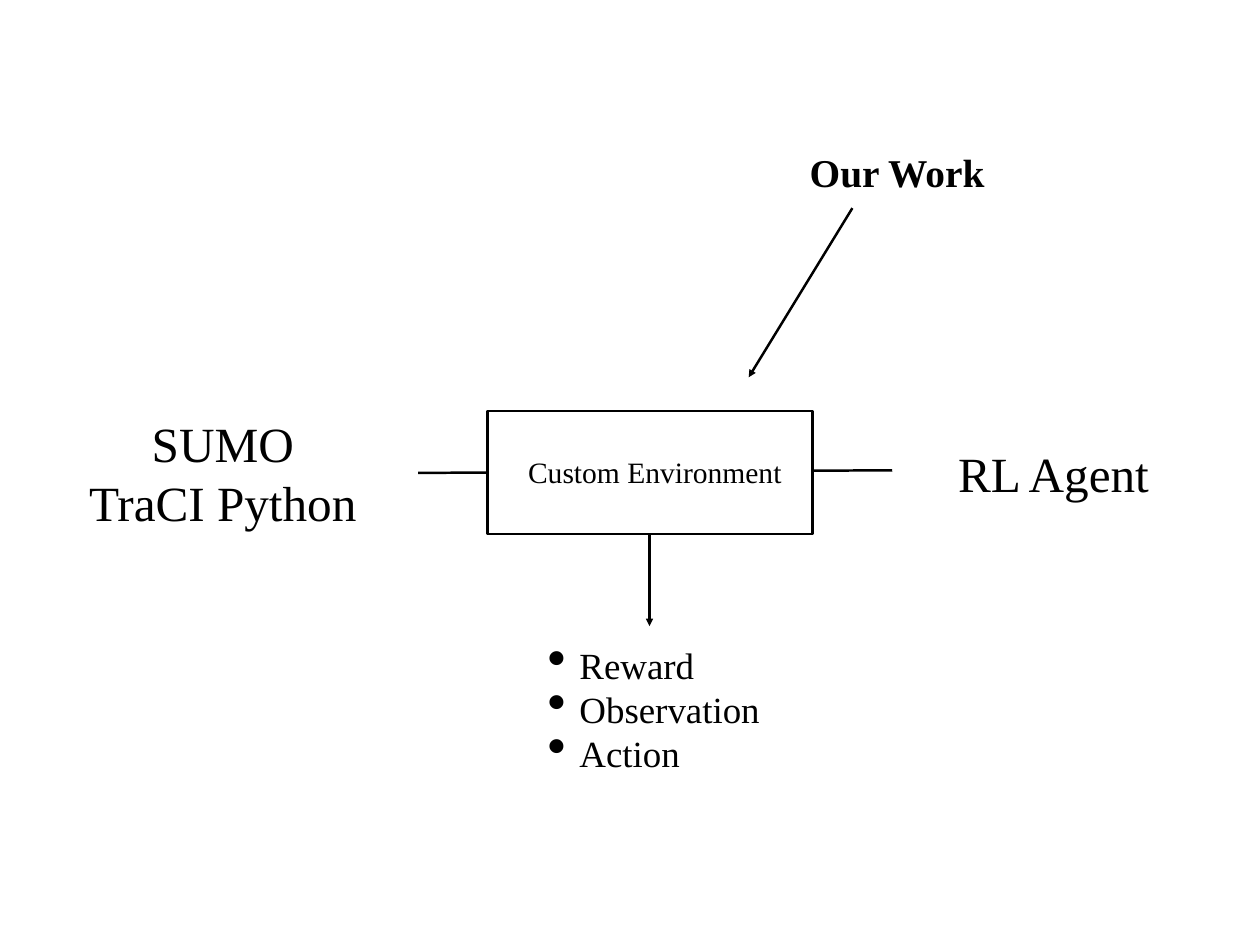
from lxml import etree
from pptx import Presentation
from pptx.dml.color import RGBColor
from pptx.enum.shapes import MSO_CONNECTOR, MSO_SHAPE
from pptx.enum.text import MSO_ANCHOR, PP_ALIGN
from pptx.oxml.ns import qn
from pptx.util import Inches, Pt

COLORS = {"ink": "000000", "paper": "FFFFFF"}
INK = RGBColor.from_string(COLORS["ink"])
FONT = "Times New Roman"

presentation = Presentation()
presentation.slide_width = Inches(14.22)
presentation.slide_height = Inches(10.67)
slide = presentation.slides.add_slide(presentation.slide_layouts[6])


def add_label(text, left, top, width, height, size, bold=False, align=PP_ALIGN.CENTER):
    box = slide.shapes.add_textbox(Inches(left), Inches(top), Inches(width), Inches(height))
    frame = box.text_frame
    frame.word_wrap = False
    frame.vertical_anchor = MSO_ANCHOR.MIDDLE
    frame.margin_left = frame.margin_right = Inches(0.06)
    frame.margin_top = frame.margin_bottom = Inches(0.06)
    frame.text = text
    for paragraph in frame.paragraphs:
        paragraph.alignment = align
        font = paragraph.runs[0].font
        font.name, font.size, font.bold = FONT, Pt(size), bold
        font.color.rgb = INK
    return box


def add_line(start_x, start_y, end_x, end_y, arrow=True):
    line = slide.shapes.add_connector(
        MSO_CONNECTOR.STRAIGHT, Inches(start_x), Inches(start_y), Inches(end_x), Inches(end_y))
    line.line.color.rgb = INK
    line.line.width = Pt(2)
    if arrow:
        etree.SubElement(line.line._get_or_add_ln(), qn("a:tailEnd"), type="triangle")
    etree.SubElement(line._element.spPr, qn("a:effectLst"))


# Link between simulator and agent, running behind the environment box
add_line(4.72, 5.34, 10.07, 5.31, arrow=False)

# Environment box
environment = slide.shapes.add_shape(
    MSO_SHAPE.RECTANGLE, Inches(5.5), Inches(4.64), Inches(3.67), Inches(1.39))
environment.shadow.inherit = False
environment.fill.solid()
environment.fill.fore_color.rgb = RGBColor.from_string(COLORS["paper"])
environment.line.color.rgb = INK
environment.line.width = Pt(2)

# Labels
add_label("SUMO\nTraCI Python", 0.88, 4.64, 3.27, 1.39, 40)
add_label("RL Agent", 10.72, 4.96, 2.34, 0.75, 40)
add_label("Custom Environment", 5.88, 5.08, 3.02, 0.5, 24)
add_label("Our Work", 9.03, 1.63, 2.19, 0.63, 32, bold=True)

# Bulleted parts of the environment
parts = add_label("Reward\nObservation\nAction", 6.12, 7.24, 2.56, 1.53, 30, align=PP_ALIGN.LEFT)
for paragraph in parts.text_frame.paragraphs:
    properties = paragraph._p.get_or_add_pPr()
    properties.set("marL", str(Inches(0.36)))
    properties.set("indent", str(-Inches(0.36)))
    etree.SubElement(properties, qn("a:buSzPct"), val="145000")
    etree.SubElement(properties, qn("a:buChar"), char="•")

# Arrows to the parts and from "Our Work"
add_line(7.33, 6.03, 7.33, 7.07)
add_line(9.62, 2.35, 8.45, 4.26)

presentation.save("out.pptx")
